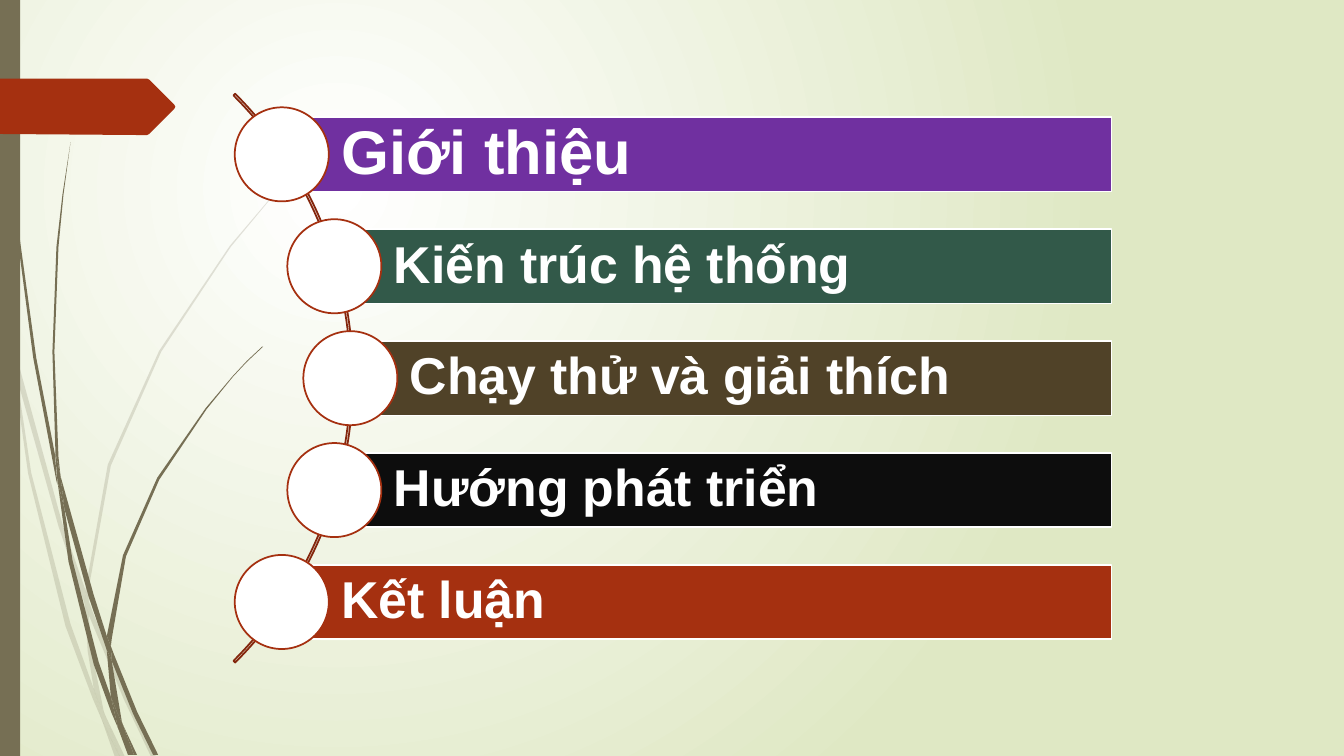
import pptx
import pptx.util
import pptx.dml.color
import pptx.enum.shapes
import pptx.enum.text
import pptx.oxml
import pptx.oxml.ns
import lxml.etree
import math
from dataclasses import dataclass

Cm = pptx.util.Cm
Pt = pptx.util.Pt
Shape = pptx.enum.shapes.MSO_SHAPE
qn = pptx.oxml.ns.qn


@dataclass
class Theme:
    font: str = "Arial"
    first_size: int = 44
    item_size: int = 37
    line_width: float = 1.25
    white: str = "FFFFFF"
    glow_edge: str = "DFE8C4"
    grass: str = "766F54"
    rust: str = "A53010"
    arc: str = "84260D"
    purple: str = "7030A0"
    green: str = "325949"
    brown: str = "504228"
    black: str = "0D0D0D"


class Painter:
    def __init__(self, page, theme):
        self.page = page
        self.theme = theme
        self.shapes = page.shapes

    def begin_group(self):
        self.shapes = self.page.shapes.add_group_shape().shapes

    def end_group(self):
        self.shapes = self.page.shapes

    def background(self, inner, outer):
        fill = self.page.background.fill
        fill.gradient()
        for stop, color, position in zip(fill.gradient_stops, (inner, outer), (0, 1)):
            stop.color.rgb = pptx.dml.color.RGBColor.from_string(color)
            stop.position = position
        gradient = self.page.element.find(".//" + qn("a:gradFill"))
        linear = gradient.find(qn("a:lin"))
        radial = lxml.etree.Element(qn("a:path"), path="circle")
        lxml.etree.SubElement(radial, qn("a:fillToRect"), l="50000", t="50000", r="100000", b="100000")
        gradient.replace(linear, radial)

    def style(self, shape, fill=None, line=None, alpha=None):
        shape.shadow.inherit = False
        if fill:
            shape.fill.solid()
            shape.fill.fore_color.rgb = pptx.dml.color.RGBColor.from_string(fill)
        else:
            shape.fill.background()
        if alpha:
            color = shape.fill._xPr.find(".//" + qn("a:srgbClr"))
            lxml.etree.SubElement(color, qn("a:alpha"), val=str(alpha * 1000))
        if line:
            shape.line.color.rgb = pptx.dml.color.RGBColor.from_string(line)
            shape.line.width = Pt(self.theme.line_width)
        else:
            shape.line.fill.background()
        return shape

    def shape(self, kind, left, top, width, height, **look):
        shape = self.shapes.add_shape(kind, Cm(left), Cm(top), Cm(width), Cm(height))
        return self.style(shape, **look)

    def outline(self, points, **look):
        builder = self.shapes.build_freeform(*points[0], scale=float(Cm(2.54)) / 100)
        builder.add_line_segments(points[1:], close=True)
        return self.style(builder.convert_to_shape(), **look)

    def label(self, shape, text, size, inset):
        frame = shape.text_frame
        frame.word_wrap = True
        frame.vertical_anchor = pptx.enum.text.MSO_ANCHOR.MIDDLE
        frame.margin_left = Cm(1.5)
        frame.margin_right = frame.margin_top = frame.margin_bottom = Cm(inset)
        para = frame.paragraphs[0]
        para.text = text
        para.alignment = pptx.enum.text.PP_ALIGN.LEFT
        para.line_spacing = 0.9
        para.font.name = self.theme.font
        para.font.size = Pt(size)
        para.font.bold = True
        para.font.color.rgb = pptx.dml.color.RGBColor.from_string(self.theme.white)


PALE_GRASS = [
    [(11, 350), (9, 322), (0, 282), (0, 299), (10, 344)],
    [(58, 522), (84, 599), (85, 586), (62, 520), (14, 345), (17, 376)],
    [(92, 607), (88, 596), (88, 610), (123, 694), (150, 751), (155, 751), (127, 692)],
    [(119, 751), (124, 751), (105, 711)],
    [(93, 683), (70, 619), (31, 469), (17, 376), (11, 350), (28, 470), (65, 621),
     (92, 693), (101, 714), (99, 707)],
    [(84, 599), (87, 646), (93, 683), (96, 692), (105, 711), (103, 706), (91, 646),
     (88, 610), (88, 608)],
    [(88, 584), (110, 462), (160, 349), (229, 245), (268, 198), (290, 175), (312, 154),
     (312, 153), (289, 175), (268, 197), (228, 244), (158, 348), (107, 461), (85, 584),
     (85, 586), (88, 596)],
    [(101, 714), (114, 751), (119, 751)],
    [(88, 608), (88, 610), (88, 596), (85, 586), (84, 599)],
    [(96, 692), (93, 683), (99, 707), (101, 714), (119, 751), (105, 711)],
]
DARK_GRASS = [
    [(7, 110), (17, 233), (33, 355), (56, 477), (57, 481), (55, 457), (55, 453), (36, 355),
     (19, 232), (8, 109), (5, 48), (4, 0), (3, 0), (4, 48)],
    [(88, 592), (106, 645), (106, 633), (106, 631), (93, 590), (60, 472), (64, 505)],
    [(113, 649), (110, 641), (111, 656), (132, 708), (152, 749), (157, 749), (136, 706)],
    [(110, 691), (98, 657), (72, 556), (64, 505), (57, 477), (68, 557), (93, 659),
     (111, 708), (117, 722), (116, 717)],
    [(60, 472), (58, 453), (54, 349), (58, 245), (63, 193), (70, 141), (62, 193),
     (56, 245), (52, 349), (55, 449)],
    [(133, 749), (136, 749), (122, 719)],
    [(57, 477), (64, 505), (60, 472), (55, 449), (55, 453)],
    [(111, 633), (125, 552), (158, 476), (205, 406), (231, 374), (245, 359), (261, 344),
     (260, 344), (245, 358), (231, 373), (204, 405), (156, 474), (122, 551), (106, 631),
     (110, 641)],
    [(117, 722), (127, 749), (131, 749)],
    [(106, 645), (110, 691), (116, 706), (122, 719), (121, 716), (111, 656), (109, 651)],
    [(106, 645), (109, 651), (111, 656), (110, 641), (106, 631), (106, 633)],
    [(116, 706), (110, 691), (116, 717), (117, 722), (130, 749), (133, 749), (122, 719)],
]
TAB = [(173, 108), (148, 133), (146, 134), (136, 134), (0, 133), (0, 78), (146, 78),
       (148, 79), (173, 104), (174, 106)]

theme = Theme()
AGENDA = [
    ("Giới thiệu", theme.purple, theme.first_size, 0.3),
    ("Kiến trúc hệ thống", theme.green, theme.item_size, 0.25),
    ("Chạy thử và giải thích", theme.brown, theme.item_size, 0.25),
    ("Hướng phát triển", theme.black, theme.item_size, 0.25),
    ("Kết luận", theme.rust, theme.item_size, 0.25),
]
CENTER_X, CENTER_Y = -1.24, 9.53
ARC_SIZE, NODE_ORBIT = 20.27, 10.07
ROW_PITCH, BAR_HEIGHT, BAR_RIGHT, NODE_SIZE = 2.82, 1.88, 28.01, 2.37

deck = pptx.Presentation()
deck.slide_width = Cm(33.87)
deck.slide_height = Cm(19.05)
painter = Painter(deck.slides.add_slide(deck.slide_layouts[6]), theme)
painter.background(theme.white, theme.glow_edge)

for blades, alpha in ((PALE_GRASS, 20), (DARK_GRASS, None)):
    painter.begin_group()
    for blade in blades:
        painter.outline(blade, fill=theme.grass, alpha=alpha)
painter.end_group()
painter.shape(Shape.RECTANGLE, 0, 0, 0.51, 19.05, fill=theme.grass)
painter.outline(TAB, fill=theme.rust)

painter.begin_group()
arc = painter.shape(Shape.BLOCK_ARC, CENTER_X - ARC_SIZE / 2, CENTER_Y - ARC_SIZE / 2,
                    ARC_SIZE, ARC_SIZE, line=theme.arc)
for index, value in enumerate((189, 27, 0.003)):
    arc.adjustments[index] = value
for row, (text, color, size, inset) in enumerate(AGENDA):
    offset = (row - len(AGENDA) // 2) * ROW_PITCH
    node_x = CENTER_X + math.sqrt(NODE_ORBIT ** 2 - offset ** 2)
    node_y = CENTER_Y + offset
    bar = painter.shape(Shape.RECTANGLE, node_x, node_y - BAR_HEIGHT / 2,
                        BAR_RIGHT - node_x, BAR_HEIGHT, fill=color, line=theme.white)
    painter.label(bar, text, size, inset)
    painter.shape(Shape.OVAL, node_x - NODE_SIZE / 2, node_y - NODE_SIZE / 2,
                  NODE_SIZE, NODE_SIZE, fill=theme.white, line=theme.rust)

deck.save("out.pptx")
